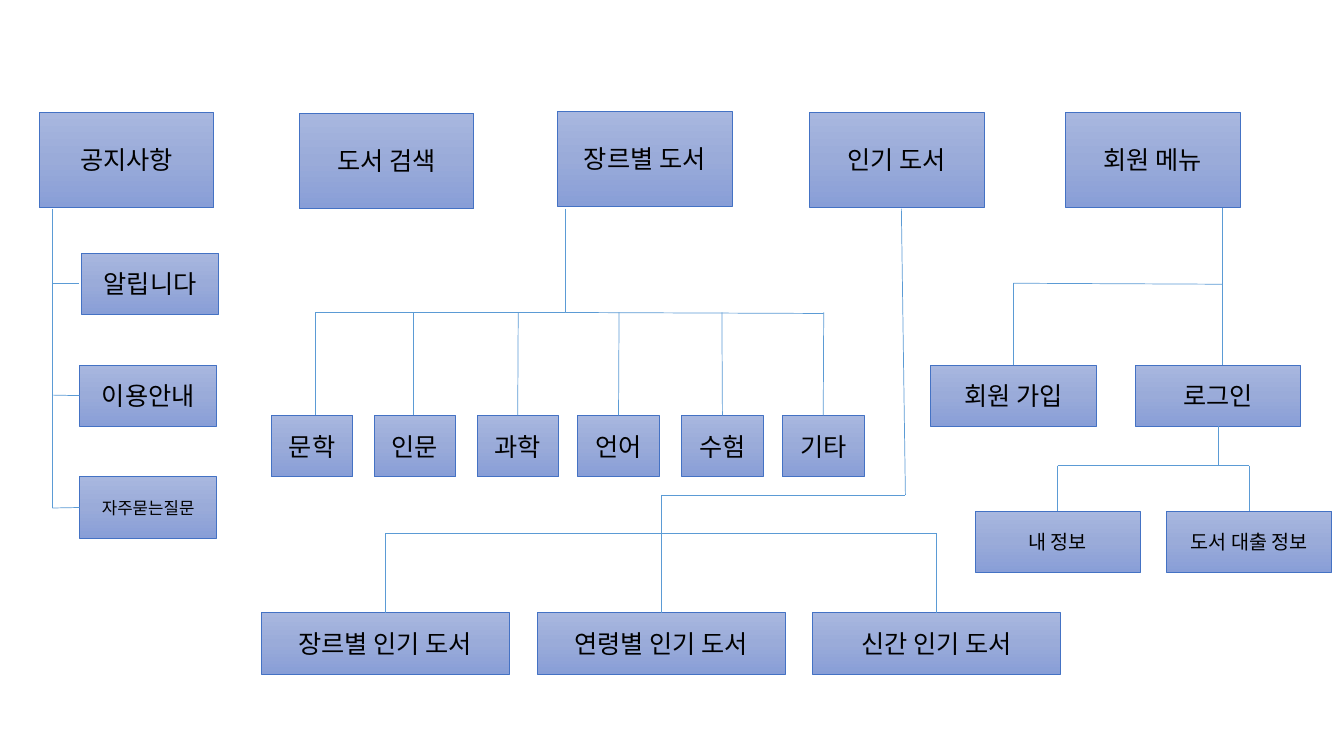
"""Build a site map slide for a library website."""
from copy import deepcopy
from dataclasses import dataclass

from lxml.etree import SubElement
from pptx import Presentation
from pptx.dml.color import RGBColor
from pptx.enum.shapes import MSO_CONNECTOR as Link, MSO_SHAPE as Form
from pptx.enum.text import MSO_ANCHOR as Anchor, PP_ALIGN as Align
from pptx.oxml.ns import qn
from pptx.shapes.autoshape import Shape
from pptx.shapes.connector import Connector
from pptx.shapes.shapetree import SlideShapes as Shapes
from pptx.util import Inches, Pt

FONT = "Noto Sans CJK KR"
BLACK = RGBColor(0x00, 0x00, 0x00)
EDGE = RGBColor(0x44, 0x72, 0xC4)
WIRE = RGBColor(0x5B, 0x9B, 0xD5)
SHADES = (RGBColor(0xA8, 0xB7, 0xDF), RGBColor(0x9A, 0xAB, 0xD9),
          RGBColor(0x88, 0x9E, 0xD7))
REACH = Inches(0.02)


@dataclass
class Row:
    top: float
    wide: float
    items: tuple[tuple[float, str], ...]
    size: int = 18
    high: float = 0.61


@dataclass
class Line:
    x1: float
    y1: float
    x2: float
    y2: float


ROWS = (
    Row(1.11, 1.73, ((0.39, "공지사항"), (8.03, "인기 도서"),
                     (10.57, "회원 메뉴")), high=0.95),
    Row(1.12, 1.73, ((2.97, "도서 검색"),), high=0.95),
    Row(1.1, 1.73, ((5.53, "장르별 도서"),), high=0.95),
    Row(2.51, 1.36, ((0.81, "알립니다"),)),
    Row(3.62, 1.36, ((0.79, "이용안내"),)),
    Row(4.73, 1.36, ((0.79, "자주묻는질문"),), 12),
    Row(4.12, 0.81, ((2.69, "문학"), (3.71, "인문"), (4.73, "과학"),
                     (5.73, "언어"), (6.76, "수험"), (7.76, "기타"))),
    Row(6.08, 2.46, ((2.59, "장르별 인기 도서"), (5.33, "연령별 인기 도서"),
                     (8.06, "신간 인기 도서"))),
    Row(3.62, 1.64, ((9.23, "회원 가입"), (11.26, "로그인"))),
    Row(5.07, 1.64, ((9.67, "내 정보"), (11.57, "도서 대출 정보")), 14),
)


def drops(top: float, low: float, *spots: float) -> list[Line]:
    return [Line(x, top, x, low) for x in spots]


LINES = [
    Line(0.52, 2.07, 0.52, 5.04),
    Line(0.52, 2.81, 0.78, 2.81),
    Line(0.52, 3.92, 0.79, 3.92),
    Line(0.52, 5.04, 0.79, 5.04),
    Line(3.13, 3.1, 4.11, 3.1),
    Line(5.61, 3.1, 8.17, 3.11),
    *drops(3.1, 4.12, 3.13, 5.14, 6.14, 7.16, 8.17),
    Line(8.94, 2.07, 8.98, 4.91),
    Line(8.98, 4.91, 6.56, 4.91),
    Line(6.56, 4.91, 6.56, 5.29),
    Line(3.82, 5.29, 9.29, 5.29),
    *drops(5.29, 6.08, 3.82, 6.56, 9.29),
    Line(12.12, 2.06, 12.12, 3.62),
    Line(12.12, 2.82, 10.05, 2.81),
    *drops(2.81, 3.62, 10.05),
    Line(12.08, 4.23, 12.08, 4.62),
    Line(10.49, 4.62, 12.39, 4.62),
    *drops(4.62, 5.07, 10.49, 12.39),
]


def shade(box: Shape) -> None:
    box.fill.gradient()
    box.fill.gradient_angle = 270
    stops = box._element.spPr.find(qn("a:gradFill")).find(qn("a:gsLst"))
    stops.insert(1, deepcopy(stops[0]))
    for i, (stop, tone) in enumerate(zip(box.fill.gradient_stops, SHADES)):
        stop.position = i / 2
        stop.color.rgb = tone


def add_box(shapes: Shapes, row: Row, left: float, text: str) -> Shape:
    box = shapes.add_shape(Form.RECTANGLE, Inches(left), Inches(row.top),
                           Inches(row.wide), Inches(row.high))
    box.shadow.inherit = False
    shade(box)
    box.line.color.rgb = EDGE
    box.line.width = Pt(0.5)
    frame = box.text_frame
    frame.vertical_anchor = Anchor.MIDDLE
    para = frame.paragraphs[0]
    para.alignment = Align.CENTER
    run = para.add_run()
    run.text = text
    run.font.name = FONT
    run.font.size = Pt(row.size)
    run.font.color.rgb = BLACK
    props = run._r.get_or_add_rPr()
    SubElement(props, qn("a:ea"), typeface=FONT)
    return box


def add_wire(shapes: Shapes, kind: Link, line: Line) -> Connector:
    wire = shapes.add_connector(kind, Inches(line.x1), Inches(line.y1),
                                Inches(line.x2), Inches(line.y2))
    wire.line.color.rgb = WIRE
    wire.line.width = Pt(0.5)
    SubElement(wire._element.spPr, qn("a:effectLst"))
    return wire


def find_side(boxes: list[Shape], x: int, y: int) -> tuple[Shape, int] | None:
    for box in boxes:
        mid_x, mid_y = box.left + box.width // 2, box.top + box.height // 2
        sides = ((mid_x, box.top), (box.left, mid_y),
                 (mid_x, box.top + box.height), (box.left + box.width, mid_y))
        for side, (at_x, at_y) in enumerate(sides):
            if max(abs(x - at_x), abs(y - at_y)) <= REACH:
                return box, side
    return None


def join(wire: Connector, boxes: list[Shape]) -> None:
    start = find_side(boxes, wire.begin_x, wire.begin_y)
    stop = find_side(boxes, wire.end_x, wire.end_y)
    if start:
        wire.begin_connect(*start)
    if stop:
        wire.end_connect(*stop)


def main() -> None:
    deck = Presentation()
    deck.slide_width, deck.slide_height = Inches(13.33), Inches(7.5)
    shapes = deck.slides.add_slide(deck.slide_layouts[6]).shapes
    boxes = [add_box(shapes, row, left, text)
             for row in ROWS for left, text in row.items]
    for line in LINES:
        join(add_wire(shapes, Link.STRAIGHT, line), boxes)
    elbow = add_wire(shapes, Link.ELBOW, Line(3.83, 2.34, 5.88, 3.85))
    elbow._element.spPr.find(qn("a:xfrm")).set("rot", "5400000")
    deck.save("out.pptx")


if __name__ == "__main__":
    main()
